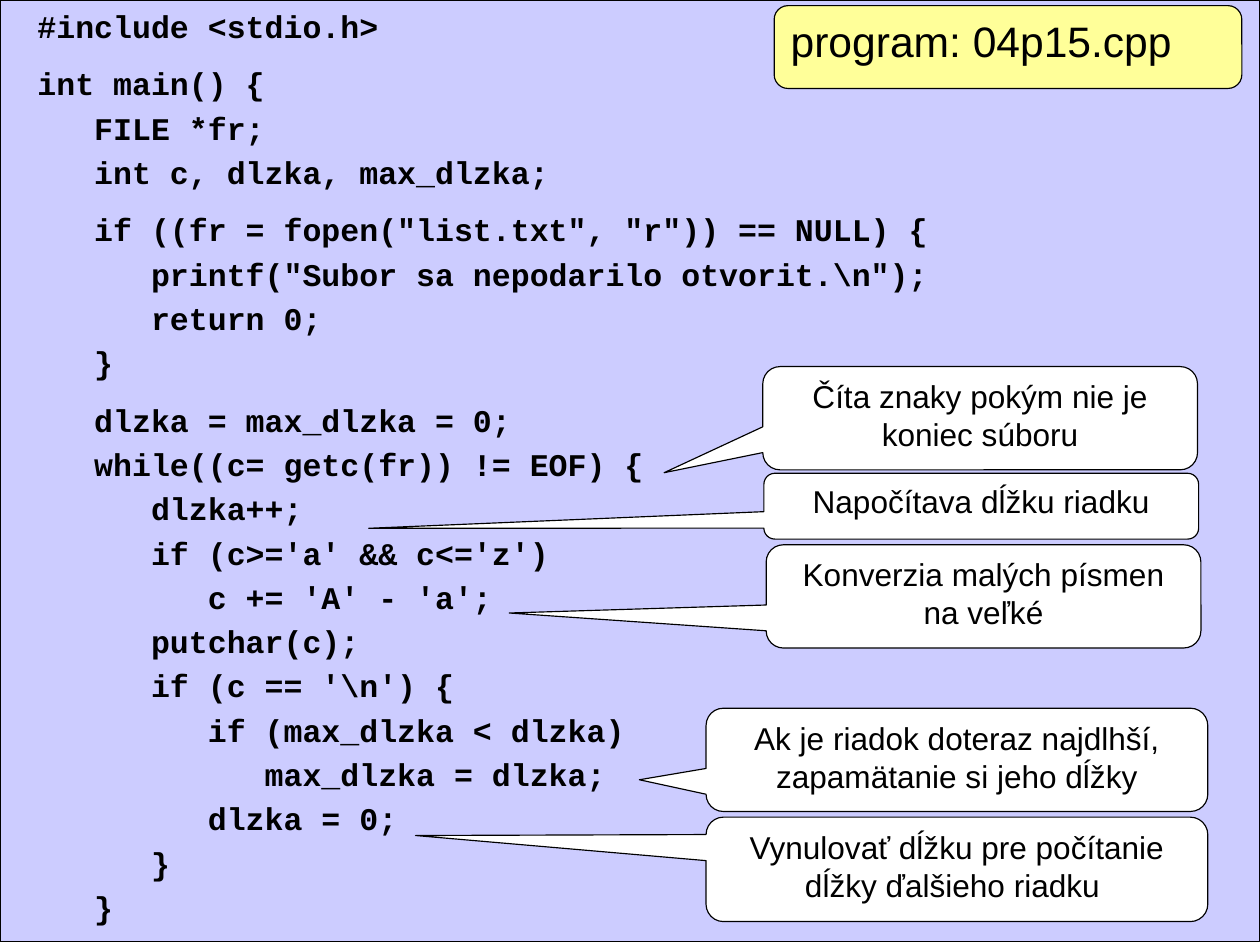
from dataclasses import dataclass

from pptx import Presentation, util as u
from pptx.dml.color import RGBColor
from pptx.enum import shapes, text


@dataclass(frozen=True)
class Theme:
    ink: RGBColor = RGBColor.from_string("000000")
    panel: RGBColor = RGBColor.from_string("CCCCFF")
    label: RGBColor = RGBColor.from_string("FFFF99")
    note: RGBColor = RGBColor.from_string("FFFFFF")
    code_font: str = "Courier New"
    text_font: str = "Arial"
    body_size: float = 20
    label_size: float = 27
    outline: float = 0.75
    line_gap: float = 4.1
    block_gap: float = 12.5


WIDTH, HEIGHT = 11.1, 8.3

# A blank line separates two blocks of code.
CODE = r"""#include <stdio.h>

int main() {
   FILE *fr;
   int c, dlzka, max_dlzka;

   if ((fr = fopen("list.txt", "r")) == NULL) {
      printf("Subor sa nepodarilo otvorit.\n");
      return 0;
   }

   dlzka = max_dlzka = 0;
   while((c= getc(fr)) != EOF) {
      dlzka++;
      if (c>='a' && c<='z')
         c += 'A' - 'a';
      putchar(c);
      if (c == '\n') {
         if (max_dlzka < dlzka)
            max_dlzka = dlzka;
         dlzka = 0;
      }
   }"""

# Text, box (left, top, width, height), tip offset from the centre as a share of the box
NOTES = [
    ("Číta znaky pokým nie je koniec súboru", (6.72, 3.23, 3.83, 0.91), (-0.727, 0.528)),
    ("Napočítava dĺžku riadku", (6.73, 4.17, 3.83, 0.58), (-1.409, 0.336)),
    ("Konverzia malých písmen na veľké", (6.75, 4.8, 3.83, 0.91), (-1.091, 0.161)),
    ("Ak je riadok doteraz najdlhší, zapamätanie si jeho dĺžky", (6.22, 6.24, 4.42, 0.91), (-0.633, 0.193)),
    ("Vynulovať dĺžku pre počítanie dĺžky ďalšieho riadku ", (6.22, 7.2, 4.42, 0.92), (-1.079, -0.324)),
]


class SlideBuilder:
    def __init__(self, slide, theme):
        self.s = slide
        self.theme = theme

    def shape(self, kind, box, fill):
        sp = self.s.shapes.add_shape(kind, *map(u.Inches, box))
        sp.shadow.inherit = False
        sp.fill.solid()
        sp.fill.fore_color.rgb = fill
        sp.line.color.rgb = self.theme.ink
        sp.line.width = u.Pt(self.theme.outline)
        return sp

    def frame(self, sp):
        tf = sp.text_frame
        tf.word_wrap = True
        tf.vertical_anchor = text.MSO_ANCHOR.TOP
        tf.margin_left = tf.margin_right = u.Inches(0.11)
        tf.margin_top = tf.margin_bottom = u.Inches(0.05)
        return tf

    def style(self, p, name, size, align, bold=False):
        p.alignment = align
        p.font.name = name
        p.font.size = u.Pt(size)
        p.font.bold = bold
        p.font.color.rgb = self.theme.ink

    def panel(self, box):
        self.shape(shapes.MSO_SHAPE.RECTANGLE, box, self.theme.panel)

    def code(self, source, box):
        t = self.theme
        tf = self.frame(self.s.shapes.add_textbox(*map(u.Inches, box)))
        p = None
        for block in source.split("\n\n"):
            gap = t.block_gap
            for line in block.split("\n"):
                if p is None:
                    p = tf.paragraphs[0]
                else:
                    p = tf.add_paragraph()
                    p.space_before = u.Pt(gap)
                p.text = line
                self.style(p, t.code_font, t.body_size, text.PP_ALIGN.LEFT, bold=True)
                gap = t.line_gap

    def note(self, words, box, tip):
        t = self.theme
        sp = self.shape(shapes.MSO_SHAPE.ROUNDED_RECTANGULAR_CALLOUT, box, t.note)
        sp.adjustments[0], sp.adjustments[1] = tip
        p = self.frame(sp).paragraphs[0]
        p.text = words
        self.style(p, t.text_font, t.body_size, text.PP_ALIGN.CENTER)

    def label(self, words, box):
        t = self.theme
        sp = self.shape(shapes.MSO_SHAPE.ROUNDED_RECTANGLE, box, t.label)
        p = self.frame(sp).paragraphs[0]
        p.text = words
        self.style(p, t.text_font, t.label_size, text.PP_ALIGN.LEFT)


def main():
    prs = Presentation()
    prs.slide_width = u.Inches(WIDTH)
    prs.slide_height = u.Inches(HEIGHT)
    s = prs.slides.add_slide(prs.slide_layouts[6])
    builder = SlideBuilder(s, Theme())
    builder.panel((0, 0, WIDTH, HEIGHT))
    builder.code(CODE, (0.22, 0.01, 10.67, 8.25))
    for words, box, tip in NOTES:
        builder.note(words, box, tip)
    builder.label("program: 04p15.cpp", (6.82, 0.05, 4.12, 0.73))
    prs.save("out.pptx")


if __name__ == "__main__":
    main()
